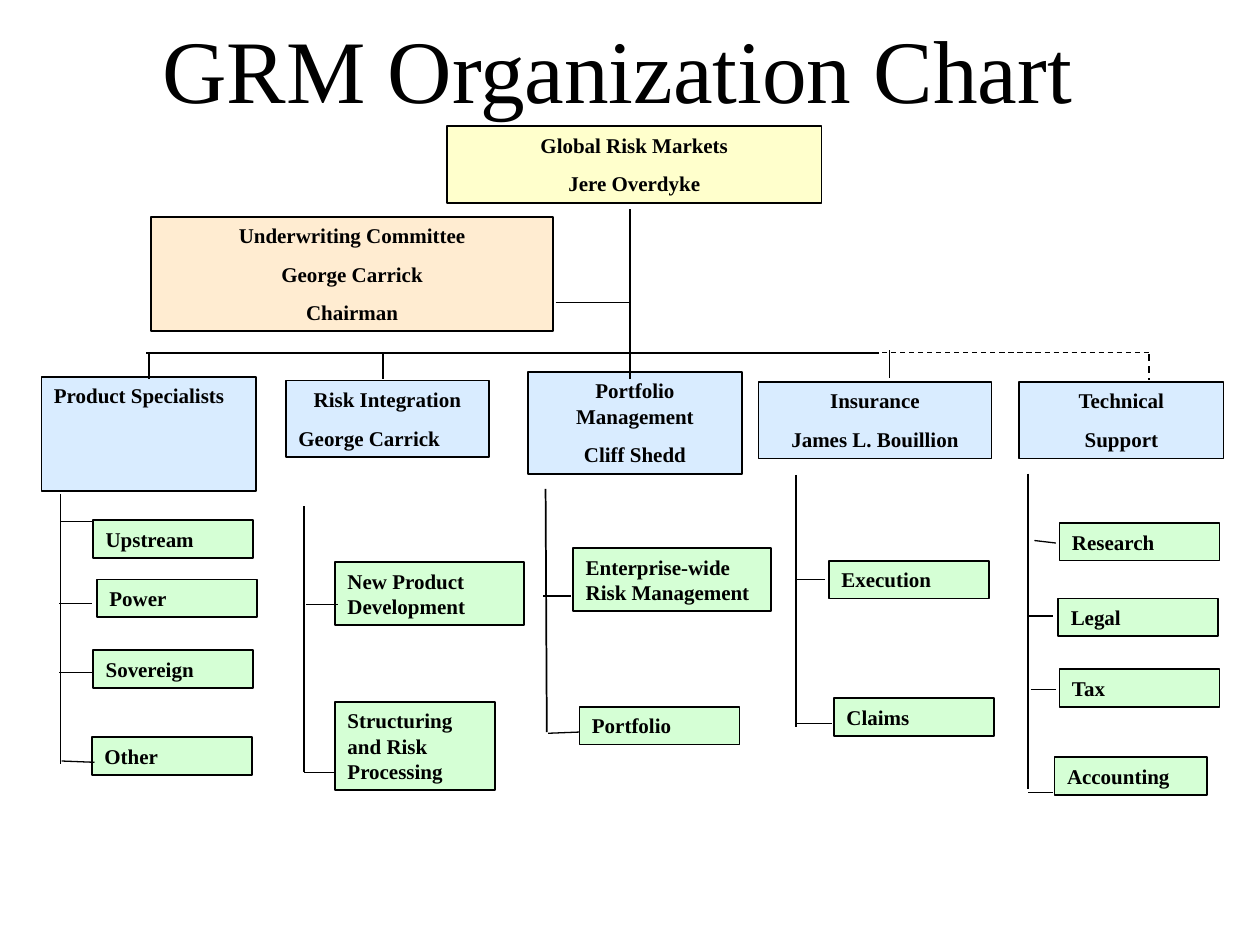
from lxml.etree import SubElement
from pptx import Presentation
from pptx.dml.color import RGBColor
from pptx.enum.dml import MSO_LINE
from pptx.enum.shapes import MSO_CONNECTOR, MSO_SHAPE
from pptx.enum.text import MSO_ANCHOR, PP_ALIGN
from pptx.oxml.ns import qn
from pptx.util import Inches, Pt

FONT = "Times New Roman"
BLACK = "000000"
HEAD_FILL, COMMITTEE_FILL = "FFFFCC", "FFECD1"
DEPARTMENT_FILL, TEAM_FILL = "D9ECFF", "D5FFD5"
LEFT, CENTER = PP_ALIGN.LEFT, PP_ALIGN.CENTER
TEAM_WIDTH = 1.27
LINE_HEIGHT, PADDING = 0.2, 0.1

TITLE = "GRM Organization Chart"

# Top boxes: lines with alignment, (left, top, width, height), fill
LEADERS = [
    ([("Global Risk Markets", CENTER), ("Jere Overdyke", CENTER)],
     (3.55, 1, 2.97, 0.61), HEAD_FILL),
    ([("Underwriting Committee", CENTER), ("George Carrick", CENTER),
      ("Chairman", CENTER)],
     (1.2, 1.72, 3.19, 0.91), COMMITTEE_FILL),
]

# Departments: heading, box, spine (x1, y1, x2, y2), and teams as
# (name, left, top, width, lines of text, branch line)
DEPARTMENTS = [
    {"heading": [("Product Specialists", LEFT)],
     "box": (0.33, 2.99, 1.7, 0.91),
     "spine": (0.48, 3.92, 0.48, 6.06),
     "teams": [
         ("Upstream", 0.74, 4.13, TEAM_WIDTH, 1, (0.48, 4.14, 0.73, 4.14)),
         ("Power", 0.77, 4.6, TEAM_WIDTH, 1, (0.47, 4.79, 0.73, 4.79)),
         ("Sovereign", 0.74, 5.16, TEAM_WIDTH, 1, (0.47, 5.34, 0.73, 5.34)),
         ("Other", 0.73, 5.85, TEAM_WIDTH, 1, (0.49, 6.04, 0.75, 6.05))]},
    {"heading": [("Risk Integration", CENTER), ("George Carrick", LEFT)],
     "box": (2.27, 3.02, 1.61, 0.61),
     "spine": (2.41, 4.02, 2.41, 6.13),
     "teams": [
         ("New Product Development", 2.66, 4.46, 1.5, 2,
          (2.43, 4.8, 2.68, 4.8)),
         ("Structuring and Risk Processing", 2.66, 5.57, TEAM_WIDTH, 3,
          (2.41, 6.13, 2.67, 6.13))]},
    {"heading": [("Portfolio Management", CENTER), ("Cliff Shedd", CENTER)],
     "box": (4.19, 2.95, 1.7, 0.81),
     "spine": (4.33, 3.88, 4.34, 5.81),
     "teams": [
         ("Enterprise-wide Risk Management", 4.55, 4.35, 1.57, 2,
          (4.31, 4.73, 4.53, 4.73)),
         ("Portfolio", 4.6, 5.61, TEAM_WIDTH, 1, (4.35, 5.82, 4.6, 5.81))]},
    {"heading": [("Insurance", CENTER), ("James L. Bouillion", CENTER)],
     "box": (6.02, 3.03, 1.85, 0.61),
     "spine": (6.32, 3.77, 6.32, 5.77),
     "teams": [
         ("Execution", 6.58, 4.45, TEAM_WIDTH, 1, (6.32, 4.6, 6.55, 4.6)),
         ("Claims", 6.62, 5.54, TEAM_WIDTH, 1, (6.32, 5.74, 6.6, 5.74))]},
    {"heading": [("Technical", CENTER), ("Support", CENTER)],
     "box": (8.09, 3.03, 1.62, 0.61),
     "spine": (8.16, 3.76, 8.16, 6.26),
     "teams": [
         ("Research", 8.41, 4.15, TEAM_WIDTH, 1, (8.21, 4.29, 8.38, 4.31)),
         ("Legal", 8.4, 4.75, TEAM_WIDTH, 1, (8.16, 4.89, 8.36, 4.89)),
         ("Tax", 8.41, 5.31, TEAM_WIDTH, 1, (8.18, 5.47, 8.38, 5.47)),
         ("Accounting", 8.37, 6.01, 1.21, 1, (8.16, 6.29, 8.36, 6.29))]},
]

# Reporting lines: ends, width in points, dashed
REPORTING_LINES = [
    ((5, 3.01, 5, 1.66), 1, False),
    ((4.41, 2.4, 5, 2.4), 1, False),
    ((1.16, 2.8, 6.98, 2.8), 1, False),
    ((7, 2.8, 9.12, 2.8), 0.75, True),
    ((1.18, 2.8, 1.18, 3.01), 1, False),
    ((3.04, 2.8, 3.04, 3.01), 1, False),
    ((7.06, 2.78, 7.06, 3), 1, False),
    ((9.12, 2.81, 9.12, 3.02), 1, True),
]


def color(value):
    return RGBColor.from_string(value)


def set_font(paragraph, size, bold):
    font = paragraph.font
    font.name, font.size, font.bold = FONT, Pt(size), bold
    font.color.rgb = color(BLACK)


def add_box(slide, lines, place, fill):
    box = slide.shapes.add_shape(MSO_SHAPE.RECTANGLE, *map(Inches, place))
    box.shadow.inherit = False
    box.fill.solid()
    box.fill.fore_color.rgb = color(fill)
    box.line.color.rgb = color(BLACK)
    box.line.width = Pt(1)
    frame = box.text_frame
    frame.word_wrap = True
    frame.vertical_anchor = MSO_ANCHOR.TOP
    for index, (text, alignment) in enumerate(lines):
        paragraph = frame.add_paragraph() if index else frame.paragraphs[0]
        paragraph.text = text
        paragraph.alignment = alignment
        if index:
            paragraph.space_before = Pt(7.5)
        set_font(paragraph, 12, True)


def add_line(slide, ends, width, dashed=False):
    line = slide.shapes.add_connector(MSO_CONNECTOR.STRAIGHT,
                                      *map(Inches, ends))
    line.line.color.rgb = color(BLACK)
    line.line.width = Pt(width)
    if dashed:
        line.line.dash_style = MSO_LINE.DASH
    SubElement(line._element.spPr, qn("a:effectLst"))


def add_title(slide):
    title = slide.shapes.add_textbox(*map(Inches, (0.66, 0.19, 8.3, 0.69)))
    frame = title.text_frame
    frame.word_wrap = True
    frame.vertical_anchor = MSO_ANCHOR.MIDDLE
    frame.margin_left = Inches(0.28)
    paragraph = frame.paragraphs[0]
    paragraph.text = TITLE
    paragraph.alignment = CENTER
    set_font(paragraph, 51, False)


def main():
    presentation = Presentation()
    presentation.slide_width, presentation.slide_height = Inches(10), Inches(7.5)
    slide = presentation.slides.add_slide(presentation.slide_layouts[6])
    add_title(slide)

    # Boxes
    for lines, place, fill in LEADERS:
        add_box(slide, lines, place, fill)
    for department in DEPARTMENTS:
        add_box(slide, department["heading"], department["box"],
                DEPARTMENT_FILL)
        for name, left, top, width, line_count, _ in department["teams"]:
            height = PADDING + line_count * LINE_HEIGHT
            add_box(slide, [(name, LEFT)], (left, top, width, height),
                    TEAM_FILL)

    # Lines in front of the boxes
    for ends, width, dashed in REPORTING_LINES:
        add_line(slide, ends, width, dashed)
    for department in DEPARTMENTS:
        add_line(slide, department["spine"], 1)
        for *_, branch in department["teams"]:
            add_line(slide, branch, 0.75)

    presentation.save("out.pptx")


if __name__ == "__main__":
    main()
